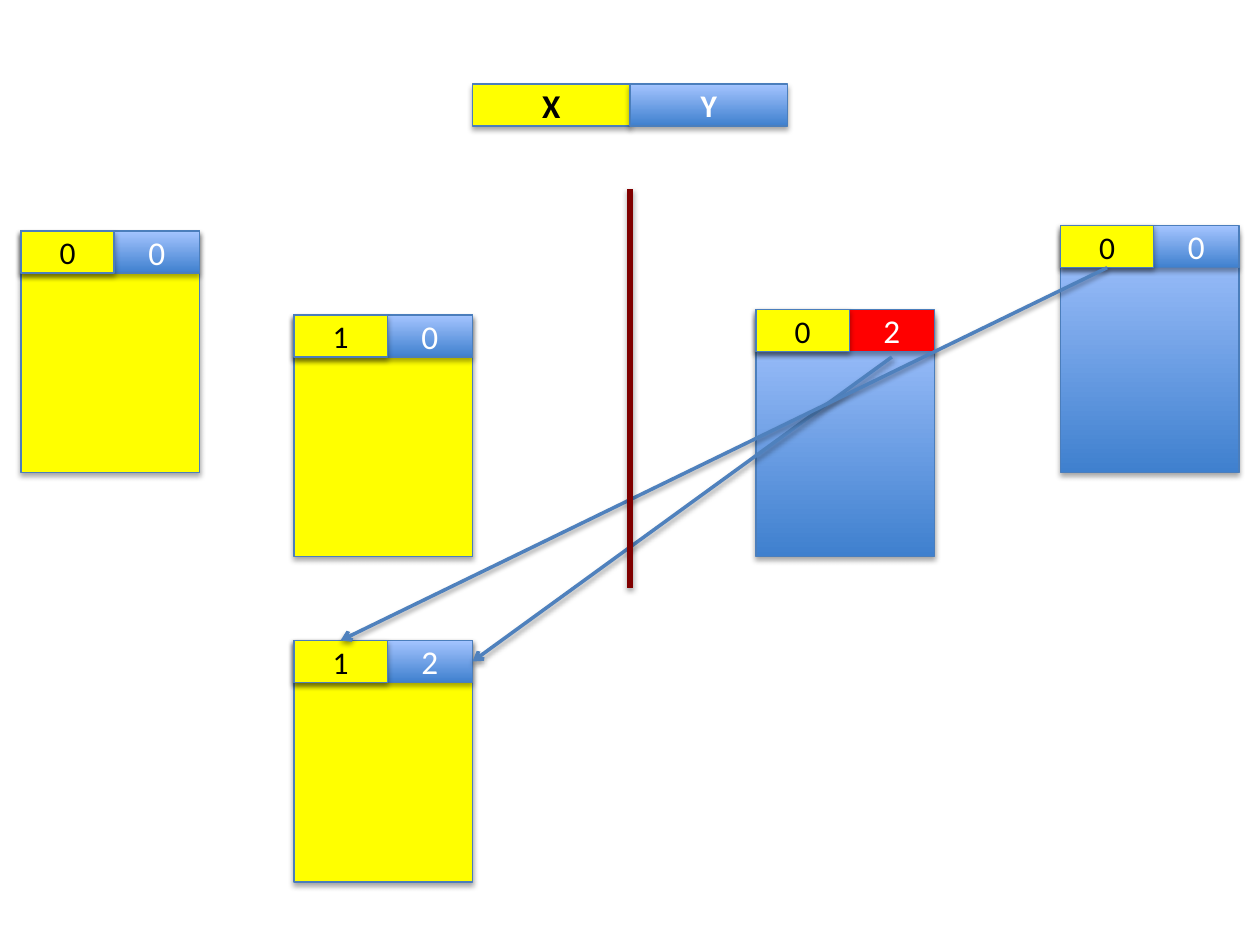
"""Build a slide of versioned X and Y cards linked by dependency arrows."""
from lxml import etree
from pptx import Presentation
from pptx.dml.color import RGBColor
from pptx.enum import shapes, text
from pptx.oxml.ns import qn
from pptx.util import Pt

THEME = {
    "font": "Calibri", "small": 18, "large": 19,
    "yellow": "FFFF00", "red": "FF0000", "dark": "3F80CE", "light": "A4C4FF",
    "edge": "4B7EBC", "arrow": "4F81BD", "wall": "800000",
    "black": "000000", "white": "FFFFFF",
}
KEYS = [("X", "yellow", "black", "large"), ("Y", "blue", "white", "small")]
CARDS = {
    "mid right": dict(at=(432, 180), lift=3, body="blue", head="red", nums="02"),
    "mid left": dict(at=(168, 180), lift=0, body="yellow", head="blue", nums="10"),
    "far right": dict(at=(606, 132), lift=3, body="blue", head="blue", nums="00"),
    "far left": dict(at=(12, 132), lift=0, body="yellow", head="blue", nums="00"),
    "low left": dict(at=(168, 366), lift=0, body="yellow", head="blue", nums="12"),
}
LINKS = [
    (("mid right", "label", 2), ("low left", "head", 3)),
    (("far right", "cell", 2), ("low left", "cell", 0)),
]
WALL = (360, 108, 360, 336)
KEY = (270, 48, 90)
WIDE, TALL, HEAD, CELL = 102, 138, 24, 53.3
LABEL = (24.5, 30)


def tint(name):
    return RGBColor.from_string(THEME[name])


def shade(item, alpha, dist):
    props = item._element.spPr
    fx = props.find(qn("a:effectLst"))
    if fx is None:
        fx = etree.SubElement(props, qn("a:effectLst"))
    drop = etree.SubElement(fx, qn("a:outerShdw"), blurRad=str(Pt(3.1)),
                            dist=str(Pt(dist)), dir="5400000", rotWithShape="0")
    ink = etree.SubElement(drop, qn("a:srgbClr"), val=THEME["black"])
    etree.SubElement(ink, qn("a:alpha"), val=str(alpha * 1000))


def write(item, word, color, size, bold=False):
    para = item.text_frame.paragraphs[0]
    para.alignment = text.PP_ALIGN.CENTER
    run = para.add_run()
    run.text = word
    font = run.font
    font.name, font.size, font.bold = THEME["font"], Pt(THEME[size]), bold
    font.color.rgb = tint(color)


def add_box(host, left, top, width, height, color):
    box = host.add_shape(shapes.MSO_SHAPE.RECTANGLE,
                         Pt(left), Pt(top), Pt(width), Pt(height))
    if color == "blue":
        box.fill.gradient()
        box.fill.gradient_angle = 90
        for stop, name, pos in zip(box.fill.gradient_stops, ("dark", "light"), (0, 1)):
            stop.color.rgb = tint(name)
            stop.position = pos
    else:
        box.fill.solid()
        box.fill.fore_color.rgb = tint(color)
    box.line.color.rgb = tint("edge")
    box.line.width = Pt(0.75)
    box.shadow.inherit = False
    shade(box, 35, 1.8)
    box.text_frame.vertical_anchor = text.MSO_ANCHOR.MIDDLE
    return box


def add_card(slide, at, lift, body, head, nums):
    host = slide.shapes.add_group_shape().shapes
    left, top = at
    add_box(host, left, top, WIDE, TALL, body)
    top -= lift
    bar = add_box(host, left, top, WIDE, HEAD, head)
    cell = add_box(host, left, top, CELL, HEAD, "yellow")
    write(cell, nums[0], "black", "small")
    wide, tall = LABEL
    label = host.add_textbox(Pt(left + (CELL + WIDE - wide) / 2),
                             Pt(top + (HEAD - tall) / 2), Pt(wide), Pt(tall))
    label.text_frame.word_wrap = False
    label.text_frame.auto_size = text.MSO_AUTO_SIZE.SHAPE_TO_FIT_TEXT
    write(label, nums[1], "white", "large")
    return {"head": bar, "cell": cell, "label": label}


def add_line(slide, ends, color, width, arrow=False):
    line = slide.shapes.add_connector(shapes.MSO_CONNECTOR.STRAIGHT,
                                      *(Pt(n) for n in ends))
    line.line.color.rgb = tint(color)
    line.line.width = Pt(width)
    if arrow:
        stroke = line._element.spPr.find(qn("a:ln"))
        etree.SubElement(stroke, qn("a:tailEnd"), type="arrow")
    shade(line, 38, 1.6)
    return line


def main():
    deck = Presentation()
    deck.slide_width, deck.slide_height = Pt(720), Pt(540)
    slide = deck.slides.add_slide(deck.slide_layouts[6])
    left, top, width = KEY
    for i, (word, fill, color, size) in enumerate(KEYS):
        box = add_box(slide.shapes, left + i * width, top, width, HEAD, fill)
        write(box, word, color, size, True)
    cards = {name: add_card(slide, **card) for name, card in CARDS.items()}
    for (start, part, side), (stop, goal, edge) in LINKS:
        line = add_line(slide, (0, 0, 0, 0), "arrow", 2, True)
        line.begin_connect(cards[start][part], side)
        line.end_connect(cards[stop][goal], edge)
    add_line(slide, WALL, "wall", 3)
    deck.save("out.pptx")


if __name__ == "__main__":
    main()
